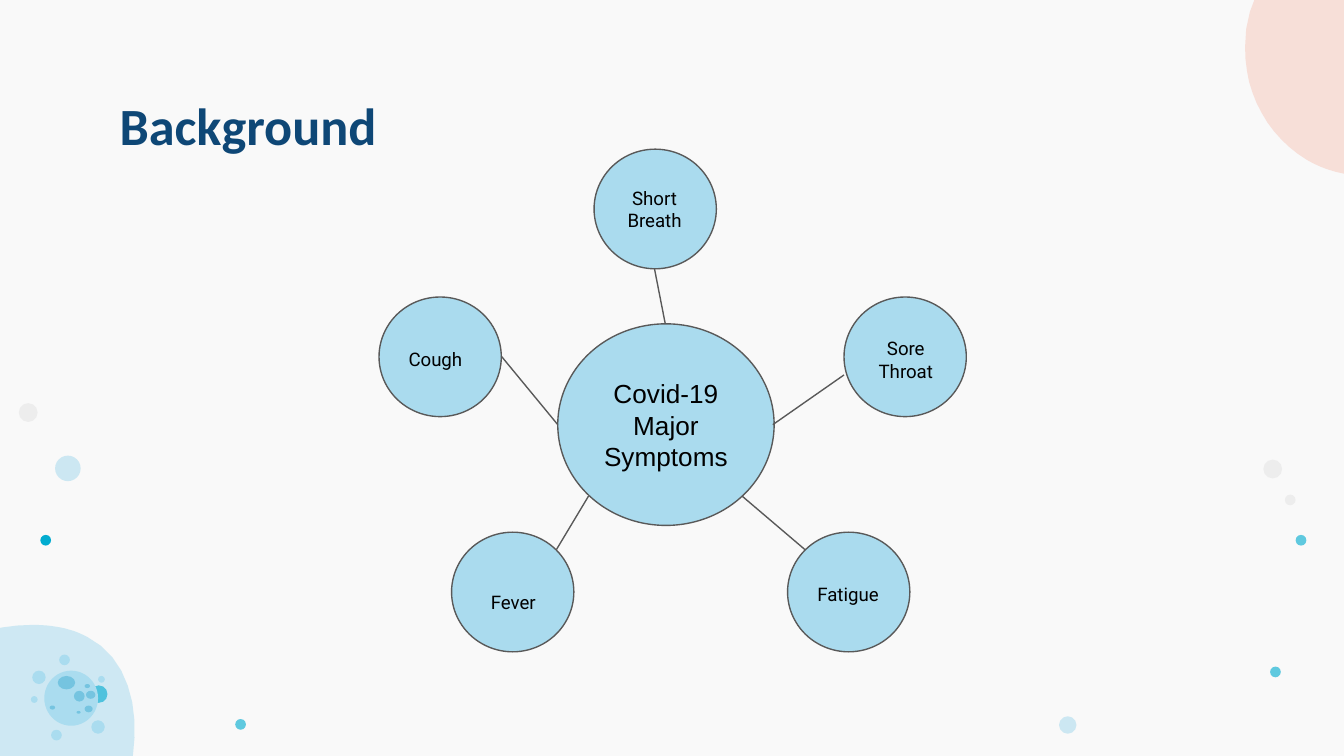
"""Build the Background slide: a hub of symptoms with soft corner decor."""
import pptx
import pptx.util
import pptx.dml.color
import pptx.enum.shapes
import pptx.enum.text
import pptx.oxml
import pptx.oxml.ns

Inches = pptx.util.Inches
OVAL = pptx.enum.shapes.MSO_SHAPE.OVAL
LINK = pptx.enum.shapes.MSO_CONNECTOR.STRAIGHT
TOP = pptx.enum.text.MSO_ANCHOR.TOP
MID = pptx.enum.text.MSO_ANCHOR.MIDDLE
LEFT = pptx.enum.text.PP_ALIGN.LEFT
MIDST = pptx.enum.text.PP_ALIGN.CENTER

WIDE = 10
HUES = {"back": "F9F9F9", "sky": "AADBEE", "cell": "AADCEF", "spot": "75C4E0",
        "teal": "02ACD0", "gray": "EDEDED", "peach": "F5AD9A",
        "navy": "0E4776", "edge": "595959", "ink": "000000"}
FONTS = {
    "title": {"size": pptx.util.Pt(28), "name": "Calibri", "bold": True},
    "hub": {"size": pptx.util.Pt(14), "name": "Arial"},
    "label": {"size": pptx.util.Pt(10), "name": "Roboto"},
}
HUB = (4.15, 2.41, 1.61, 1.5)
NODE = (0.91, 0.89)
# label, circle corner, label corner, label height, link start, link end
NODES = [
    ("Cough", (2.82, 2.21), (2.86, 2.49), 0.37, (3.73, 2.65), (4.15, 3.16)),
    ("Fever", (3.36, 3.96), (3.44, 4.3), 0.37, (4.38, 3.69), (4.14, 4.09)),
    ("Fatigue", (5.86, 3.96), (5.93, 4.24), 0.37, (5.52, 3.69), (5.99, 4.09)),
    ("Sore Throat", (6.28, 2.21), (6.36, 2.41), 0.54, (5.75, 3.16), (6.28, 2.79)),
    ("Short Breath", (4.42, 1.11), (4.49, 1.29), 0.54, (4.87, 2), (4.95, 2.41)),
]
# hue, opacity, turn, start, curves of three points each
BLOBS = [
    ("sky", 54, 0, (0.24, 4.65), [
        (-0.2, 4.65, -0.68, 4.91, -1.09, 4.94), (-1.13, 4.94, -1.16, 4.94, -1.2, 4.94),
        (-1.4, 4.94, -1.62, 4.92, -1.83, 4.92), (-2.17, 4.92, -2.49, 4.98, -2.7, 5.29),
        (-3.13, 5.95, -3.94, 5.91, -3.94, 6.51), (-3.94, 7.03, -3.28, 7.18, -3.28, 8.18),
        (-2, 8.18, -0.7, 8.18, 0.6, 8.18), (1.17, 8.18, 1.45, 8, 1.47, 7.68),
        (1.49, 7.41, 1.3, 7.19, 0.99, 7.14), (0.8, 7.1, 0.53, 7.01, 0.48, 6.82),
        (0.4, 6.54, 0.7, 6.35, 0.81, 6.15), (1.08, 5.68, 1.1, 4.97, 0.65, 4.74),
        (0.52, 4.67, 0.38, 4.65, 0.24, 4.65)]),
    ("peach", 34, 105.2, (11.21, 0.64), [
        (11.25, 0.49, 11.25, 0.33, 11.21, 0.17), (11.16, -0.41, 10.6, -0.76, 10.09, -0.61),
        (9.68, -0.53, 9.39, -0.24, 9.3, 0.1), (9.26, 0.26, 9.26, 0.42, 9.31, 0.58),
        (9.44, 1.09, 10, 1.45, 10.52, 1.3), (10.87, 1.21, 11.12, 0.95, 11.21, 0.64)]),
]
# hue, opacity, boxes
DOTS = [
    ("sky", 57, [(0.41, 3.39, 0.19, 0.19), (7.88, 5.33, 0.13, 0.13)]),
    ("gray", 100, [(9.56, 3.68, 0.08, 0.08), (0.14, 3, 0.14, 0.14), (9.4, 3.42, 0.14, 0.14)]),
    ("teal", 100, [(0.3, 3.98, 0.08, 0.08)]),
    ("teal", 62, [(0.67, 5.1, 0.13, 0.13), (1.75, 5.35, 0.08, 0.08),
                  (9.45, 4.96, 0.08, 0.08), (9.64, 3.98, 0.08, 0.08)]),
    ("cell", 100, [(0.44, 4.87, 0.08, 0.08), (0.38, 5.43, 0.08, 0.08), (0.24, 4.99, 0.1, 0.1),
                   (0.68, 5.36, 0.1, 0.1), (0.73, 5.03, 0.05, 0.05),
                   (0.23, 5.18, 0.05, 0.05), (0.33, 4.99, 0.4, 0.41)]),
    ("spot", 100, [(0.64, 5.14, 0.07, 0.06), (0.63, 5.09, 0.04, 0.03), (0.55, 5.14, 0.08, 0.08),
                   (0.43, 5.03, 0.13, 0.1), (0.63, 5.25, 0.06, 0.05),
                   (0.37, 5.25, 0.04, 0.03), (0.57, 5.29, 0.03, 0.02)]),
]


def rgb(hue):
    return pptx.dml.color.RGBColor.from_string(HUES[hue])


def box(nums):
    return [Inches(n) for n in nums]


def paint(shape, hue, fade=100, edge=None):
    shape.shadow.inherit = False
    shape.fill.solid()
    shape.fill.fore_color.rgb = rgb(hue)
    if fade < 100:
        tint = shape.fill._xPr.find(".//" + pptx.oxml.ns.qn("a:srgbClr"))
        alpha = pptx.oxml.parse_xml(
            f'<a:alpha {pptx.oxml.ns.nsdecls("a")} val="{fade * 1000}"/>')
        tint.append(alpha)
    if edge:
        trace(shape.line, edge)
    else:
        shape.line.fill.background()


def trace(line, hue):
    line.color.rgb = rgb(hue)
    line.width = pptx.util.Pt(0.75)


def write(shape, text, style, hue="ink", align=MIDST, anchor=TOP):
    frame = shape.text_frame
    frame.text = text
    form = {"word_wrap": True, "vertical_anchor": anchor,
            "auto_size": pptx.enum.text.MSO_AUTO_SIZE.NONE}
    form.update({f"margin_{side}": Inches(0.1) for side in ("left", "top", "right", "bottom")})
    for key, val in form.items():
        setattr(frame, key, val)
    par = frame.paragraphs[0]
    par.alignment = align
    font = par.runs[0].font
    for key, val in FONTS[style].items():
        setattr(font, key, val)
    font.color.rgb = rgb(hue)


def bend(start, curves, steps=12):
    spots, (x, y) = [], start
    for a, b, c, d, e, f in curves:
        for i in range(1, steps + 1):
            t = i / steps
            u = 1 - t
            spots.append(tuple(
                1000 * (u**3 * p + 3 * u * u * t * q + 3 * u * t * t * r + t**3 * s)
                for p, q, r, s in ((x, a, c, e), (y, b, d, f))))
        x, y = e, f
    return spots


def decor(shapes):
    for hue, fade, turn, start, curves in BLOBS:
        spots = bend(start, curves)
        pen = shapes.build_freeform(*spots[-1], scale=914.4)
        pen.add_line_segments(spots[:-1], close=True)
        blob = pen.convert_to_shape()
        blob.rotation = turn
        paint(blob, hue, fade)
    for hue, fade, spots in DOTS:
        for spot in spots:
            paint(shapes.add_shape(OVAL, *box(spot)), hue, fade)


def chart(shapes):
    hub = shapes.add_shape(OVAL, *box(HUB))
    paint(hub, "sky", edge="edge")
    write(hub, "Covid-19 Major Symptoms", "hub", anchor=MID)
    for text, spot, place, high, start, end in NODES:
        paint(shapes.add_shape(OVAL, *box(spot + NODE)), "sky", edge="edge")
        write(shapes.add_textbox(*box(place + (0.76, high))), text, "label")
        link = shapes.add_connector(LINK, *box(start + end))
        trace(link.line, "edge")
        link._element.spPr.append(pptx.oxml.parse_xml(
            f'<a:effectLst {pptx.oxml.ns.nsdecls("a")}/>'))


def main():
    deck = pptx.Presentation()
    deck.slide_width, deck.slide_height = box((WIDE, WIDE * 9 / 16))
    slide = deck.slides.add_slide(deck.slide_layouts[5])
    slide.background.fill.solid()
    slide.background.fill.fore_color.rgb = rgb("back")
    decor(slide.shapes)
    title = slide.shapes.title
    for key, val in zip(("left", "top", "width", "height"), box((0.79, 0.59, 8.43, 0.52))):
        setattr(title, key, val)
    write(title, "Background", "title", "navy", LEFT)
    chart(slide.shapes)
    deck.save("out.pptx")


if __name__ == "__main__":
    main()
